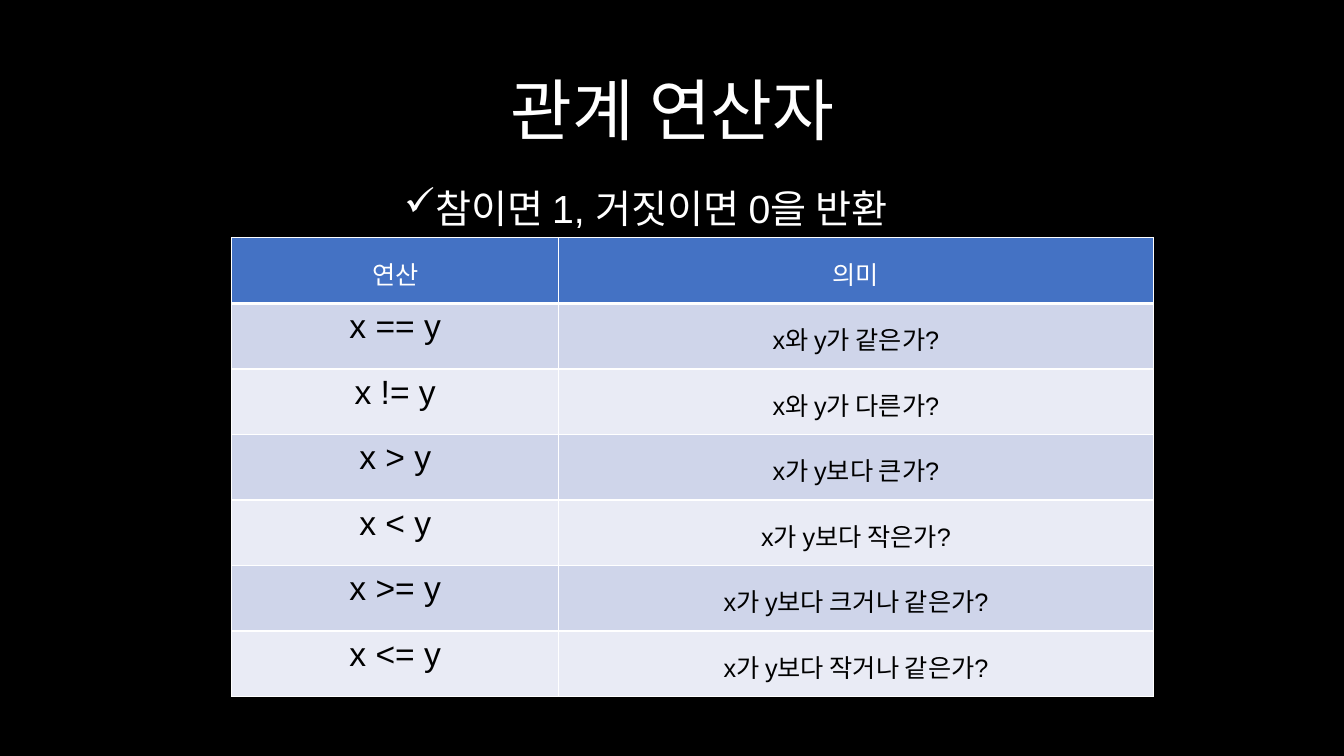
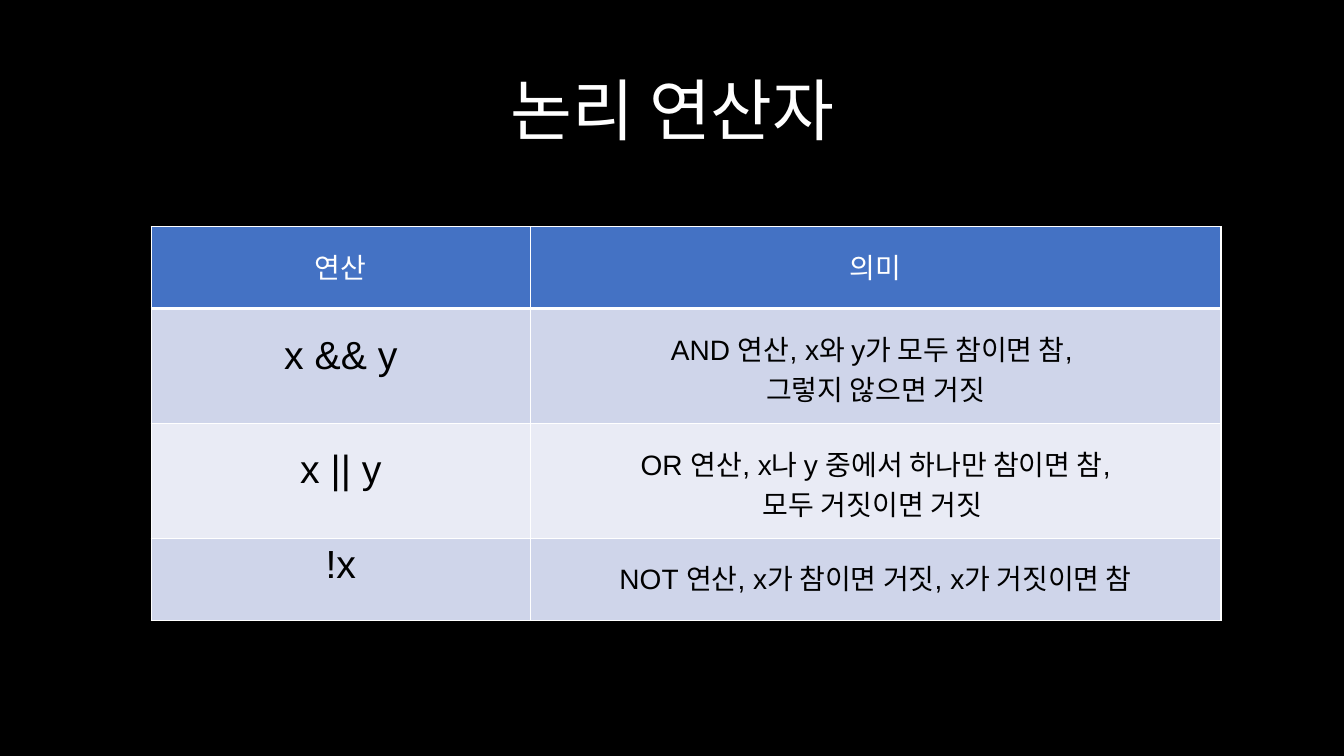
import pptx
import pptx.util
import pptx.dml.color
import pptx.enum.text
import pptx.oxml
import pptx.oxml.ns

Inches = pptx.util.Inches
Pt = pptx.util.Pt
ALIGN = pptx.enum.text.PP_ALIGN
ANCHOR = pptx.enum.text.MSO_ANCHOR

COLORS = {
    "background": "000000",
    "light": "FFFFFF",
    "dark": "000000",
    "header": "4472C4",
    "odd_band": "CFD5EA",
    "even_band": "E9EBF5",
}
TITLE_BOX = (0.92, 0.4, 11.5, 1.45)
TITLE_FONT = {"name": "Calibri", "size": Pt(48), "bold": False}
BODY_FONT = {"name": "Arial", "bold": False}
BORDER_SIDES = ("L", "R", "T", "B")
HEADINGS = ("연산", "의미")

RELATIONAL = {
    "title": "관계 연산자",
    "box": (2.3, 2.36, 9.14, 4.52),
    "columns": (3.24, 5.9),
    "heights": (0.65,) * 7,
    "operator_size": 24,
    "meaning_size": 18,
    "meaning_inset": 0.17,
    "rows": [
        ("x == y", "x와 y가 같은가?", 0.05),
        ("x != y", "x와 y가 다른가?", 0.05),
        ("x > y", "x가 y보다 큰가?", 0.05),
        ("x < y", "x가 y보다 작은가?", 0.05),
        ("x >= y", "x가 y보다 크거나 같은가?", 0.05),
        ("x <= y", "x가 y보다 작거나 같은가?", 0.05),
    ],
}
LOGICAL = {
    "title": "논리 연산자",
    "box": (1.5, 2.25, 10.61, 3.91),
    "columns": (3.76, 6.85),
    "heights": (0.81, 1.14, 1.14, 0.82),
    "operator_size": 28,
    "meaning_size": 20,
    "meaning_inset": 0.19,
    "rows": [
        ("x && y", "AND 연산, x와 y가 모두 참이면 참, \n그렇지 않으면 거짓", 0.25),
        ("x || y", "OR 연산, x나 y 중에서 하나만 참이면 참,\n모두 거짓이면 거짓 ", 0.25),
        ("!x", "NOT 연산, x가 참이면 거짓, x가 거짓이면 참", 0.05),
    ],
}


def rgb(color):
    return pptx.dml.color.RGBColor.from_string(COLORS[color])


def apply_values(target, values):
    for name, value in values.items():
        setattr(target, name, value)


def format_text(text_frame, values, color, alignment):
    for paragraph in text_frame.paragraphs:
        paragraph.alignment = alignment
        for run in paragraph.runs:
            apply_values(run.font, values)
            run.font.color.rgb = rgb(color)


def add_title(slide, text, box):
    title = slide.shapes.title
    apply_values(title, dict(zip(("left", "top", "width", "height"), map(Inches, box))))
    title.text_frame.text = text
    title.text_frame.vertical_anchor = ANCHOR.MIDDLE
    title.text_frame.paragraphs[0].line_spacing = 0.9
    format_text(title.text_frame, TITLE_FONT, "light", ALIGN.CENTER)


def set_borders(cell, bottom_width):
    properties = cell._tc.get_or_add_tcPr()
    namespace = pptx.oxml.ns.nsdecls("a")
    for index, side in enumerate(BORDER_SIDES):
        width = Pt(bottom_width if side == "B" else 1)
        border = pptx.oxml.parse_xml(
            f'<a:ln{side} {namespace} w="{width}"><a:solidFill>'
            f'<a:srgbClr val="{COLORS["light"]}"/></a:solidFill></a:ln{side}>'
        )
        properties.insert(index, border)


def fill_cell(cell, text, size, inset, fill, color, bottom_width=1):
    cell.text = text
    cell.margin_top = Inches(inset)
    cell.vertical_anchor = ANCHOR.TOP
    cell.fill.solid()
    cell.fill.fore_color.rgb = rgb(fill)
    format_text(cell.text_frame, {**BODY_FONT, "size": Pt(size)}, color, ALIGN.CENTER)
    set_borders(cell, bottom_width)


def add_operator_table(slide, content, box):
    heights, columns = content["heights"], content["columns"]
    frame = slide.shapes.add_table(len(heights), len(columns), *map(Inches, box))
    table = frame.table
    for column, width in zip(table.columns, columns):
        column.width = Inches(width)
    for row, height in zip(table.rows, heights):
        row.height = Inches(height)
    size, inset = content["meaning_size"], content["meaning_inset"]
    for index, heading in enumerate(HEADINGS):
        fill_cell(table.cell(0, index), heading, size, inset, "header", "light", 3)
    for index, (operator, meaning, operator_inset) in enumerate(content["rows"], 1):
        band = "odd_band" if index % 2 else "even_band"
        fill_cell(table.cell(index, 0), operator, content["operator_size"],
                  operator_inset, band, "dark")
        fill_cell(table.cell(index, 1), meaning, size, inset, band, "dark")


def add_check_note(slide, text, box):
    note = slide.shapes.add_textbox(*map(Inches, box))
    frame = note.text_frame
    frame.text = text
    frame.word_wrap = False
    frame.auto_size = pptx.enum.text.MSO_AUTO_SIZE.SHAPE_TO_FIT_TEXT
    format_text(frame, {**BODY_FONT, "size": Pt(28)}, "light", ALIGN.LEFT)
    properties = frame.paragraphs[0]._p.get_or_add_pPr()
    properties.set("marL", str(Inches(0.31)))
    properties.set("indent", str(Inches(-0.31)))
    properties.append(pptx.oxml.parse_xml(
        f'<a:buChar {pptx.oxml.ns.nsdecls("a")} char="✓"/>'
    ))


def add_operator_slide(presentation, content):
    slide = presentation.slides.add_slide(presentation.slide_layouts[5])
    add_title(slide, content["title"], TITLE_BOX)
    add_operator_table(slide, content, content["box"])
    return slide


def main():
    presentation = pptx.Presentation()
    presentation.slide_width = Inches(13.33)
    presentation.slide_height = Inches(7.5)
    background = presentation.slide_master.background.fill
    background.solid()
    background.fore_color.rgb = rgb("background")
    relational_slide = add_operator_slide(presentation, RELATIONAL)
    add_check_note(relational_slide, "참이면 1, 거짓이면 0을 반환", (3.91, 1.78, 5.52, 0.57))
    add_operator_slide(presentation, LOGICAL)
    presentation.save("out.pptx")


if __name__ == "__main__":
    main()
